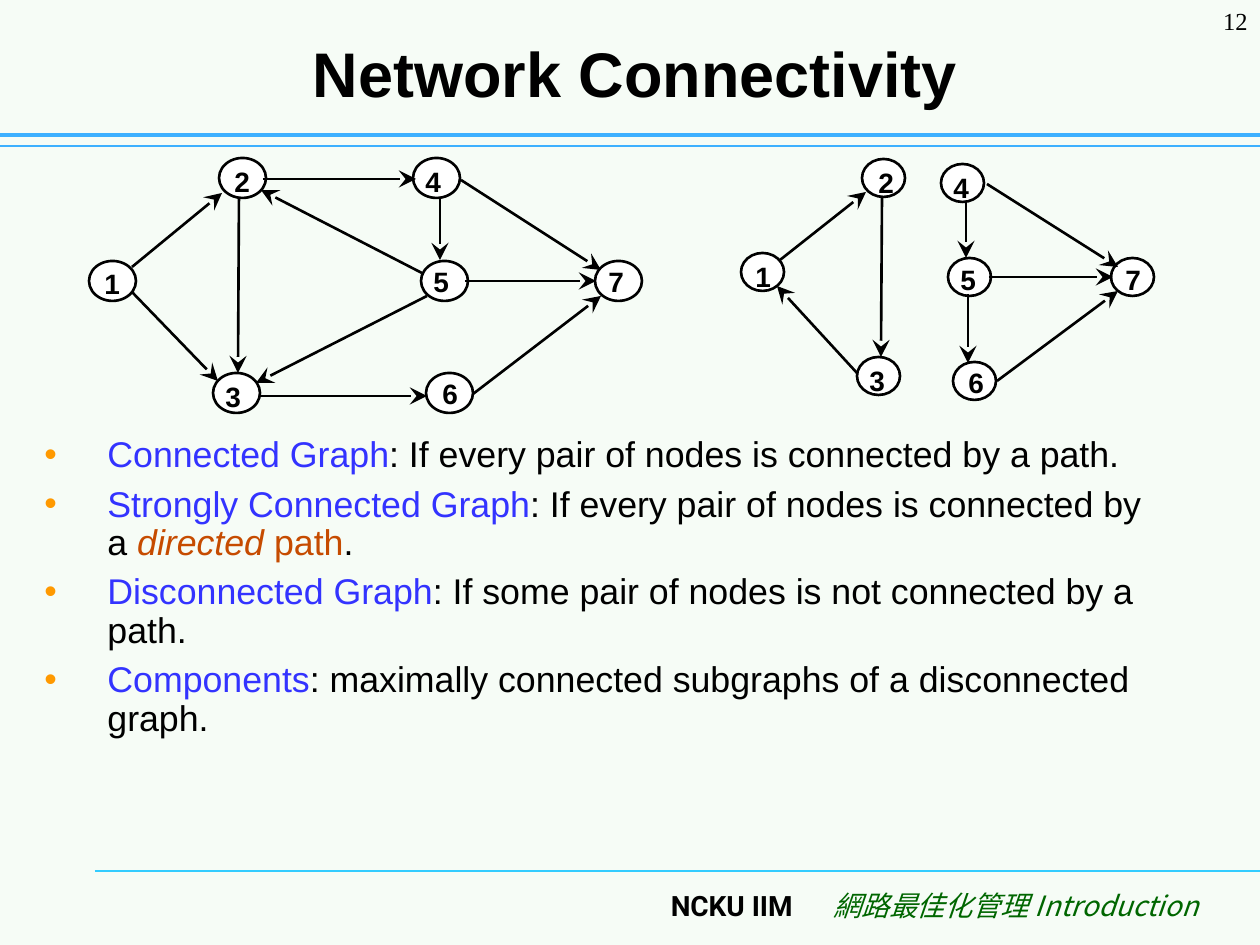
from lxml.etree import SubElement
from pptx import Presentation
from pptx.dml.color import RGBColor
from pptx.enum.shapes import MSO_CONNECTOR, MSO_SHAPE
from pptx.enum.text import MSO_ANCHOR, PP_ALIGN
from pptx.oxml.ns import qn
from pptx.util import Pt

SCALE = 914400 / 126  # EMU per px
THEME = {
    "background": "F6FCF6", "black": "000000", "white": "FFFFFF",
    "term": "3333FF", "emphasis": "C64B00", "bullet": "FF9900",
    "rule": "3DB0FF", "footer_rule": "33CCFF", "footer": "006600",
    "title_size": 36, "body_size": 20.4, "node_size": 16,
    "footer_size": 16, "number_size": 14, "line_width": 1.5,
}

presentation = Presentation()
presentation.slide_width = round(1260 * SCALE)
presentation.slide_height = round(945 * SCALE)
slide = presentation.slides.add_slide(presentation.slide_layouts[6])
slide.background.fill.solid()
slide.background.fill.fore_color.rgb = RGBColor.from_string(THEME["background"])


def add_text(text, box, size, font="Arial", color="black", bold=False,
             italic=False, align=PP_ALIGN.LEFT, wrap=True):
    shape = slide.shapes.add_textbox(*[round(value * SCALE) for value in box])
    frame = shape.text_frame
    frame.text = text
    frame.word_wrap = wrap
    paragraph = frame.paragraphs[0]
    paragraph.alignment = align
    run = paragraph.runs[0]
    run.font.size = Pt(THEME[size])
    run.font.name = font
    run.font.bold = bold
    run.font.italic = italic
    run.font.color.rgb = RGBColor.from_string(THEME[color])
    SubElement(run.font._element, qn("a:ea"), typeface=font)
    return shape


def add_line(ends, color, width, arrow=False):
    line = slide.shapes.add_connector(
        MSO_CONNECTOR.STRAIGHT, *[round(value * SCALE) for value in ends])
    line.line.color.rgb = RGBColor.from_string(THEME[color])
    line.line.width = Pt(width)
    if arrow:
        SubElement(line.line._get_or_add_ln(), qn("a:tailEnd"),
                   type="stealth", w="lg", len="lg")
    SubElement(line._element.spPr, qn("a:effectLst"))


# Rules, footer, page number and title
add_line((95, 871, 1260, 871), "footer_rule", 0.75)
add_line((0, 146, 1260, 146), "rule", 0.75)
add_line((0, 135, 1260, 135), "rule", 2.5)
add_text("NCKU IIM", (600, 882, 205, 63), "footer_size", "Roboto",
         bold=True, align=PP_ALIGN.RIGHT)
add_text("網路最佳化管理 Introduction", (806, 882, 405, 63), "footer_size",
         "Noto Sans CJK SC", "footer", italic=True, align=PP_ALIGN.RIGHT)
add_text("12", (1155, 0, 105, 63), "number_size", "Times New Roman",
         align=PP_ALIGN.RIGHT)
title = add_text("Network Connectivity", (73, 29, 1124, 87), "title_size",
                 bold=True, align=PP_ALIGN.CENTER)
title.text_frame.vertical_anchor = MSO_ANCHOR.MIDDLE

# Definitions: each is a list of (text, colour, italic)
definitions = [
    [("Connected Graph", "term", False),
     (": If every pair of nodes is connected by a path.", "black", False)],
    [("Strongly Connected Graph", "term", False),
     (": If every pair of nodes is connected by a ", "black", False),
     ("directed", "emphasis", True), (" path", "emphasis", False),
     (".", "black", False)],
    [("Disconnected Graph", "term", False),
     (": If some pair of nodes is not connected by a path.", "black", False)],
    [("Components", "term", False),
     (": maximally connected subgraphs of a disconnected graph.", "black", False)],
]
body = slide.shapes.add_textbox(
    *[round(value * SCALE) for value in (32, 431, 1143, 393)])
frame = body.text_frame
frame.word_wrap = True
for index, definition in enumerate(definitions):
    paragraph = frame.add_paragraph() if index else frame.paragraphs[0]
    paragraph.line_spacing = 0.9
    paragraph.space_before = Pt(6 if index else 0)
    properties = paragraph._p.get_or_add_pPr()
    properties.set("marL", str(round(63 * SCALE)))
    properties.set("indent", str(round(-63 * SCALE)))
    bullet_color = SubElement(properties, qn("a:buClr"))
    SubElement(bullet_color, qn("a:srgbClr"), val=THEME["bullet"])
    SubElement(properties, qn("a:buFont"), typeface="Arial")
    SubElement(properties, qn("a:buChar"), char="•")
    for text, color, italic in definition:
        run = paragraph.add_run()
        run.text = text
        run.font.name = "Arial"
        run.font.size = Pt(THEME["body_size"])
        run.font.italic = italic
        run.font.color.rgb = RGBColor.from_string(THEME[color])

# Graphs: nodes give left, top and the label's shift; edges run tail to head
graphs = [
    {   # Disconnected graph
        "node_box": (43, 38),
        "nodes": {"1": (741, 253, 2, 0), "2": (862, 159, 4, 0),
                  "3": (857, 357, 0, 0), "4": (941, 164, 0, 0),
                  "5": (948, 258, 0, -2), "6": (953, 362, 3, -3),
                  "7": (1111, 258, 2, -2)},
        "edges": [(780, 260, 866, 192), (882, 197, 881, 357),
                  (857, 373, 777, 286), (997, 381, 1118, 291),
                  (989, 277, 1113, 277), (987, 184, 1118, 267),
                  (966, 202, 966, 258), (968, 294, 968, 363)],
    },
    {   # Connected graph
        "node_box": (47, 40),
        "nodes": {"1": (89, 261, 3, -1), "2": (219, 158, 3, 0),
                  "3": (213, 373, 0, 0), "4": (413, 158, 0, 0),
                  "5": (421, 261, 0, -3), "6": (426, 373, 4, -3),
                  "7": (595, 261, 1, -3)},
        "edges": [(132, 267, 222, 193), (132, 292, 218, 381),
                  (239, 198, 238, 373), (263, 179, 416, 179),
                  (260, 396, 427, 396), (473, 394, 601, 296),
                  (465, 281, 596, 281), (461, 180, 601, 270),
                  (440, 198, 440, 260), (422, 273, 261, 190),
                  (427, 296, 256, 383)],
    },
]
for graph in graphs:
    for left, top, _, _ in graph["nodes"].values():
        node = slide.shapes.add_shape(
            MSO_SHAPE.OVAL,
            *[round(value * SCALE) for value in (left, top, *graph["node_box"])])
        node.shadow.inherit = False
        node.fill.solid()
        node.fill.fore_color.rgb = RGBColor.from_string(THEME["white"])
        node.line.color.rgb = RGBColor.from_string(THEME["black"])
        node.line.width = Pt(THEME["line_width"])
    for edge in graph["edges"]:
        add_line(edge, "black", THEME["line_width"], arrow=True)
    for name, (left, top, shift_x, shift_y) in graph["nodes"].items():
        add_text(name, (left + shift_x, top + shift_y, 40, 47), "node_size",
                 bold=True, wrap=False)

presentation.save("out.pptx")
